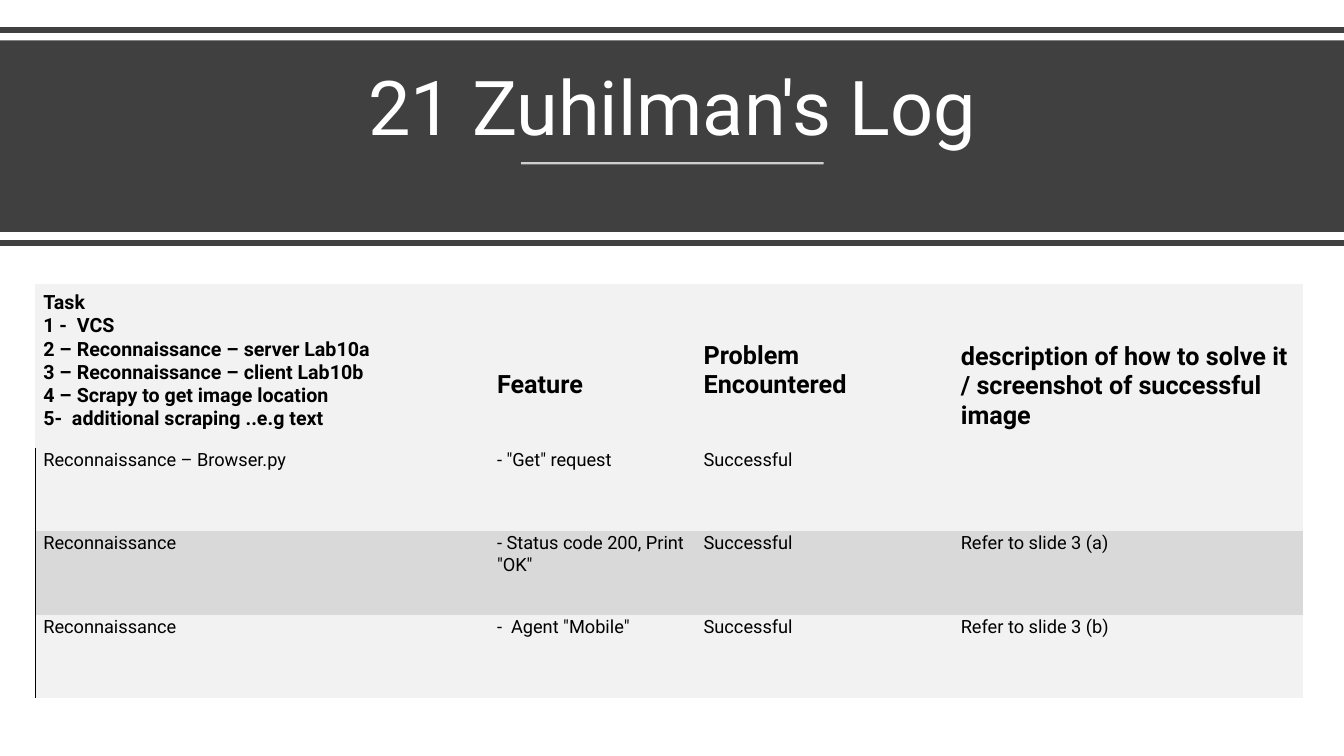
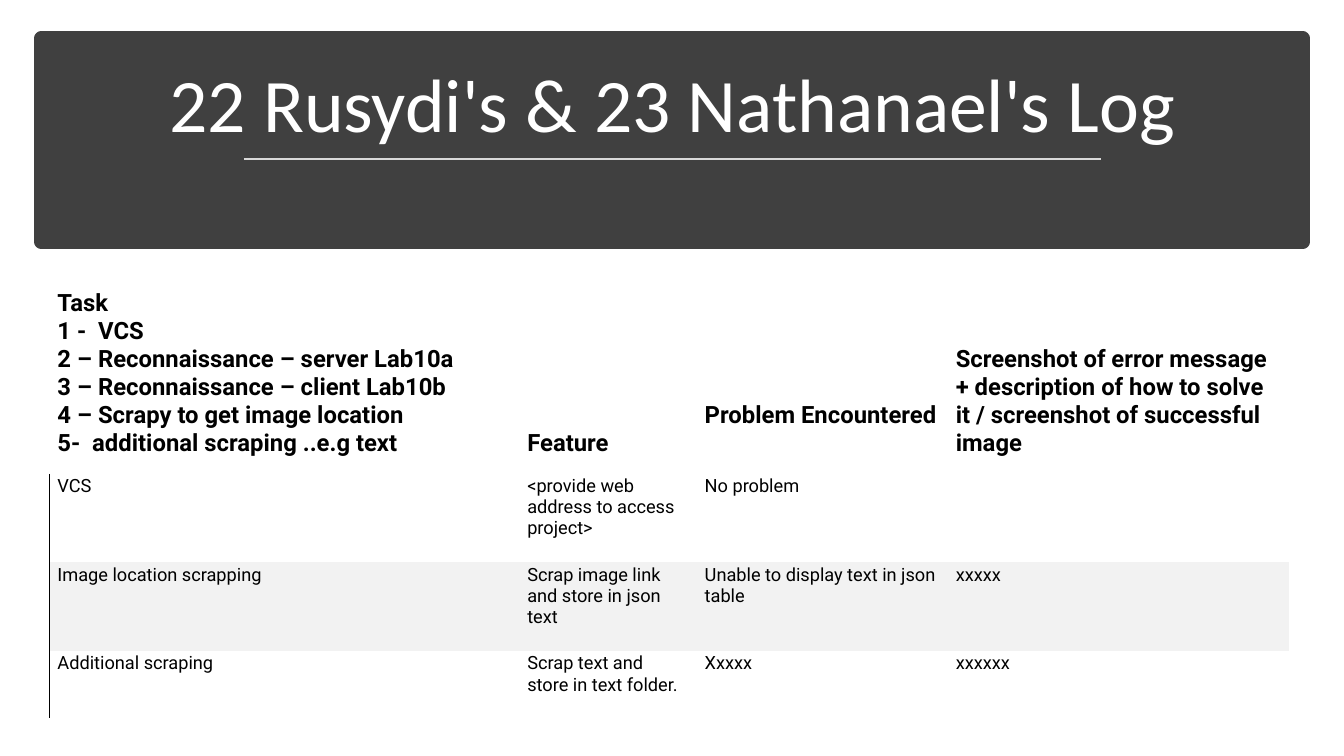
"""Build two project log slides, each with a title band and a task table."""
import pptx
import pptx.dml.color
import pptx.enum.shapes
import pptx.enum.text
import pptx.oxml
import pptx.oxml.ns
import pptx.util

Inches = pptx.util.Inches
Pt = pptx.util.Pt
RGBColor = pptx.dml.color.RGBColor
Anchor = pptx.enum.text.MSO_ANCHOR

CHARCOAL = RGBColor(0x40, 0x40, 0x40)
WHITE = RGBColor(0xFF, 0xFF, 0xFF)
BLACK = RGBColor(0, 0, 0)
PALE_GREY = RGBColor(0xF2, 0xF2, 0xF2)
MID_GREY = RGBColor(0xD9, 0xD9, 0xD9)

BODY_FONT = "Roboto"
BODY_SIZE = 13
SLIDE_WIDTH = 13.33
TITLE_ONLY = 5
PLAIN_TABLE = "{2D5ABB26-0587-4C30-8999-92F81FD0307C}"
TASK_HEADING = "\n".join([
    "Task\u00a0",
    "1 -\u00a0 VCS",
    "2 – Reconnaissance – server Lab10a",
    "3 – Reconnaissance – client Lab10b",
    "4 – Scrapy to get image location",
    "5-\u00a0 additional scraping ..e.g text",
])


def add_band(slide, left, top, width, height, outline=None):
    band = slide.shapes.add_shape(
        pptx.enum.shapes.MSO_SHAPE.RECTANGLE,
        Inches(left), Inches(top), Inches(width), Inches(height))
    band.shadow.inherit = False
    band.fill.solid()
    band.fill.fore_color.rgb = CHARCOAL
    if outline:
        band.line.color.rgb = CHARCOAL
        band.line.width = Pt(outline)
    else:
        band.line.fill.background()


def add_rule(slide, left, right, top, color, weight, opacity=None):
    rule = slide.shapes.add_connector(
        pptx.enum.shapes.MSO_CONNECTOR.STRAIGHT,
        Inches(left), Inches(top), Inches(right), Inches(top))
    rule.line.color.rgb = color
    rule.line.width = Pt(weight)
    properties = rule.element.spPr
    if opacity:
        tint = properties.find(".//" + pptx.oxml.ns.qn("a:srgbClr"))
        alpha = tint.makeelement(pptx.oxml.ns.qn("a:alpha"), {"val": str(opacity * 1000)})
        tint.append(alpha)
    properties.append(properties.makeelement(pptx.oxml.ns.qn("a:effectLst"), {}))


def style_paragraphs(frame, font, size, color, bold=False):
    for paragraph in frame.paragraphs:
        for run in paragraph.runs:
            run.font.name = font
            run.font.size = Pt(size)
            run.font.bold = bold
            run.font.color.rgb = color


def set_title(slide, wording, top, font):
    title = slide.shapes.title
    title.left, title.top = Inches(0.58), Inches(top)
    title.width, title.height = Inches(12.18), Inches(1.02)
    frame = title.text_frame
    frame.text = wording
    frame.word_wrap = True
    frame.auto_size = pptx.enum.text.MSO_AUTO_SIZE.NONE
    frame.vertical_anchor = Anchor.BOTTOM
    frame.paragraphs[0].alignment = pptx.enum.text.PP_ALIGN.CENTER
    frame.paragraphs[0].line_spacing = 0.9
    style_paragraphs(frame, font, 54, WHITE)
    slide.shapes.element.append(title.element)


def add_left_border(cell, weight):
    properties = cell._tc.get_or_add_tcPr()
    properties.insert(0, pptx.oxml.parse_xml(
        f'<a:lnL {pptx.oxml.ns.nsdecls("a")} w="{Pt(weight)}">'
        f'<a:solidFill><a:srgbClr val="{BLACK}"/></a:solidFill></a:lnL>'))


def fill_cell(cell, wording, size, bold, fill, bottom_inset):
    cell.margin_left, cell.margin_right = Inches(0.08), Inches(0.1)
    cell.margin_top, cell.margin_bottom = Inches(0.02), Inches(bottom_inset)
    cell.vertical_anchor = Anchor.BOTTOM if bold else Anchor.TOP
    if fill:
        cell.fill.solid()
        cell.fill.fore_color.rgb = fill
    else:
        cell.fill.background()
    cell.text_frame.text = wording
    style_paragraphs(cell.text_frame, BODY_FONT, size, BLACK, bold)


def add_log_table(slide, left, top, widths, heights, rows, heading_sizes,
                  base_fill, stripe_fill, bottom_inset, raised, border):
    """Add a log table; raised maps heading columns to extra bottom inset."""
    frame = slide.shapes.add_table(
        len(rows), len(widths), Inches(left), Inches(top),
        Inches(sum(widths)), Inches(sum(heights)))
    frame.element.find(".//" + pptx.oxml.ns.qn("a:tableStyleId")).text = PLAIN_TABLE
    table = frame.table
    for column, width in zip(table.columns, widths):
        column.width = Inches(width)
    for row, height in zip(table.rows, heights):
        row.height = Inches(height)
    for row_index, entries in enumerate(rows):
        heading = row_index == 0
        fill = stripe_fill if row_index == 2 else base_fill
        for column_index, wording in enumerate(entries):
            size = heading_sizes[column_index] if heading else BODY_SIZE
            lift = raised.get(column_index, 0) if heading else 0
            fill_cell(table.cell(row_index, column_index), wording, size,
                      heading, fill, bottom_inset + lift)
        if not heading:
            add_left_border(table.cell(row_index, 0), border)


def build_first_log(slide):
    for top in (0.3, 2.41):
        add_rule(slide, 0, SLIDE_WIDTH, top, CHARCOAL, 4)
    add_band(slide, 0, 0.4, SLIDE_WIDTH, 1.9)
    set_title(slide, "21 Zuhilman's Log", 0.54, BODY_FONT)
    add_rule(slide, 5.17, 8.17, 1.62, WHITE, 1.5, opacity=75)
    rows = [
        (TASK_HEADING, "Feature", "Problem Encountered",
         "description of how to solve it / screenshot of successful image"),
        ("Reconnaissance – Browser.py", '- "Get" request', "Successful", ""),
        ("Reconnaissance", '- Status code 200, Print "OK"', "Successful",
         "Refer to slide 3 (a)"),
        ("Reconnaissance", '-\u00a0 Agent "Mobile"', "Successful",
         "Refer to slide 3 (b)"),
    ]
    add_log_table(slide, 0.35, 2.82, (4.5, 2.05, 2.55, 3.47),
                  (1.62, 0.83, 0.83, 0.83), rows, (14, 18, 18, 18),
                  PALE_GREY, MID_GREY, 0.17, {1: 0.3, 2: 0.3}, 1)


def build_second_log(slide):
    add_band(slide, 0.41, 0.38, 12.51, 2.02, outline=10)
    set_title(slide, "22 Rusydi's & 23 Nathanael's Log", 0.51, "Calibri")
    add_rule(slide, 2.42, 10.92, 1.58, MID_GREY, 1.75)
    rows = [
        (TASK_HEADING, "Feature", "Problem Encountered",
         "Screenshot of error message + description of how to solve it / "
         "screenshot of successful image"),
        ("VCS", "<provide web address to access project>", "No problem", ""),
        ("Image location scrapping", "Scrap image link and store in json text",
         "Unable to display text in json table", "xxxxx"),
        ("Additional scraping", "Scrap text and store in text folder.",
         "Xxxxx", "xxxxxx"),
    ]
    add_log_table(slide, 0.49, 2.74, (4.66, 1.76, 2.49, 3.39),
                  (1.96, 0.88, 0.88, 0.66), rows, (17, 17, 17, 17),
                  None, PALE_GREY, 0.16, {2: 0.28}, 0.75)


def main():
    deck = pptx.Presentation()
    deck.slide_width, deck.slide_height = Inches(SLIDE_WIDTH), Inches(7.5)
    for build in (build_first_log, build_second_log):
        build(deck.slides.add_slide(deck.slide_layouts[TITLE_ONLY]))
    deck.save("out.pptx")


main()
